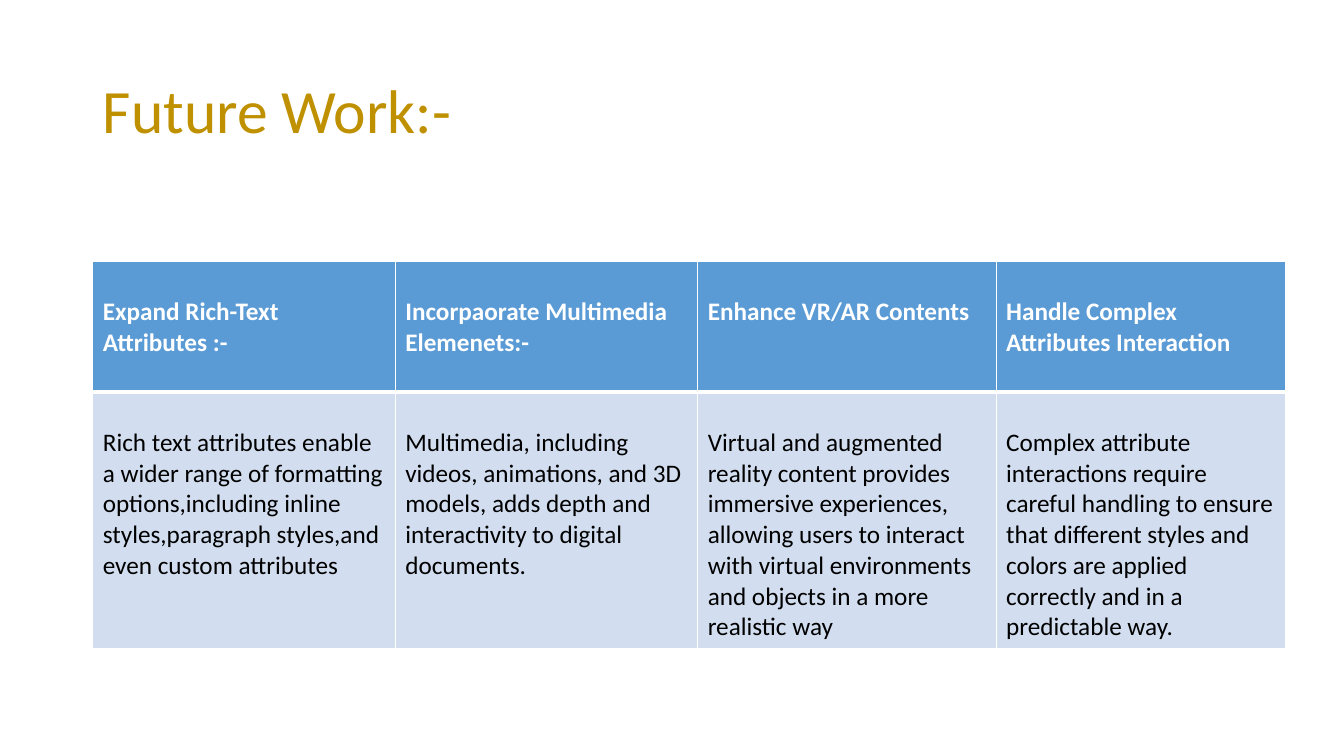
import pptx
import pptx.dml.color
import pptx.enum.text
import pptx.oxml
import pptx.oxml.ns
import pptx.util

Inches, Pt = pptx.util.Inches, pptx.util.Pt

COLUMNS = [
    (3, "Expand Rich-Text Attributes :-",
     "Rich text attributes enable a wider range of formatting options,including "
     "inline styles,paragraph styles,and even custom attributes"),
    (3, "Incorpaorate Multimedia Elemenets:-",
     "Multimedia, including videos, animations, and 3D models, adds depth and "
     "interactivity to digital documents."),
    (2.96, "Enhance VR/AR Contents",
     "Virtual and augmented reality content provides immersive experiences, "
     "allowing users to interact with virtual environments and objects in a "
     "more realistic way"),
    (2.87, "Handle Complex Attributes Interaction",
     "Complex attribute interactions require careful handling to ensure that "
     "different styles and colors are applied correctly and in a predictable way."),
]
# height, fill, text colour, bold, border widths
ROWS = [
    (1.3, "5B9BD5", "FFFFFF", True, {"L": 1, "R": 1, "T": 1, "B": 3}),
    (2.54, "D2DEEF", "000000", False, {"L": 1, "R": 1, "T": 3, "B": 1}),
]
LEFT, TOP = 0.92, 2.59


def add_run(p, text, size, color, bold=False):
    r = p.add_run()
    r.text = text
    r.font.name = "Calibri"
    r.font.size = Pt(size)
    r.font.bold = bold
    r.font.color.rgb = pptx.dml.color.RGBColor.from_string(color)


def set_borders(cell, widths, color):
    tc_pr = cell._tc.get_or_add_tcPr()
    for i, (side, width) in enumerate(widths.items()):
        tc_pr.insert(i, pptx.oxml.parse_xml(
            f'<a:ln{side} {pptx.oxml.ns.nsdecls("a")} w="{Pt(width)}">'
            f'<a:solidFill><a:srgbClr val="{color}"/></a:solidFill></a:ln{side}>'))


prs = pptx.Presentation()
prs.slide_width, prs.slide_height = Inches(13.33), Inches(7.5)
s = prs.slides.add_slide(prs.slide_layouts[5])

title = s.shapes.title
title.left, title.top = Inches(LEFT), Inches(0.4)
title.width, title.height = Inches(11.5), Inches(1.45)
tf = title.text_frame
tf.auto_size = pptx.enum.text.MSO_AUTO_SIZE.NONE
tf.vertical_anchor = pptx.enum.text.MSO_ANCHOR.MIDDLE
p = tf.paragraphs[0]
p.alignment = pptx.enum.text.PP_ALIGN.LEFT
p.line_spacing = 0.9
add_run(p, "Future Work:-", 44, "BF9000")

table = s.shapes.add_table(
    len(ROWS), len(COLUMNS), Inches(LEFT), Inches(TOP),
    Inches(sum(col[0] for col in COLUMNS)),
    Inches(sum(row[0] for row in ROWS))).table
for c, (width, *_) in enumerate(COLUMNS):
    table.columns[c].width = Inches(width)

for r, (height, fill, color, bold, borders) in enumerate(ROWS):
    table.rows[r].height = Inches(height)
    for c, (_, *texts) in enumerate(COLUMNS):
        cell = table.cell(r, c)
        cell.margin_top = Inches(0.35)
        cell.fill.solid()
        cell.fill.fore_color.rgb = pptx.dml.color.RGBColor.from_string(fill)
        set_borders(cell, borders, "FFFFFF")
        add_run(cell.text_frame.paragraphs[0], texts[r], 18, color, bold)

prs.save("out.pptx")
